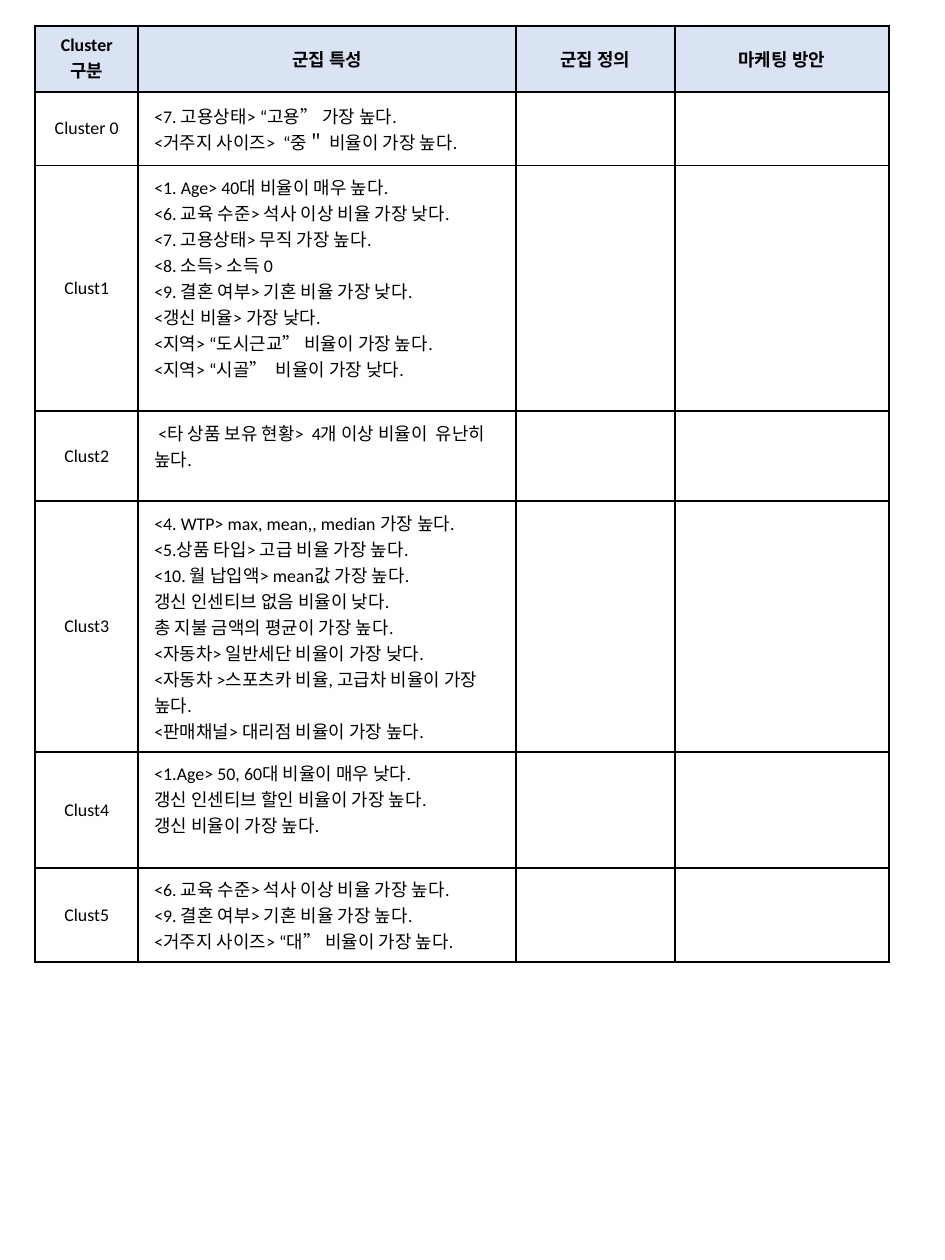
from lxml import etree
from pptx import Presentation
from pptx.dml.color import RGBColor
from pptx.enum.text import MSO_ANCHOR, PP_ALIGN
from pptx.oxml.ns import qn
from pptx.util import Inches, Pt

LEFT, CENTER = PP_ALIGN.LEFT, PP_ALIGN.CENTER
TOP, MIDDLE = MSO_ANCHOR.TOP, MSO_ANCHOR.MIDDLE
COLOR = {"text": "000000", "line": "000000", "head": "DAE3F3"}
COLS = [0.64, 2.35, 0.99, 1.33]
HEAD = ["Cluster 구분", "군집 특성", "군집 정의", "마케팅 방안"]

# Cluster name, row height, anchor of the traits, traits
ROWS = [
    ("Cluster 0", 0.46, MIDDLE, [
        "<7. 고용상태> “고용” 가장 높다.",
        "<거주지 사이즈>  “중＂ 비율이 가장 높다."]),
    ("Clust1", 1.53, TOP, [
        "<1. Age> 40대 비율이 매우 높다.",
        "<6. 교육 수준> 석사 이상 비율 가장 낮다.",
        "<7. 고용상태> 무직 가장 높다.",
        "<8. 소득> 소득 0",
        "<9. 결혼 여부> 기혼 비율 가장 낮다.",
        "<갱신 비율> 가장 낮다.",
        "<지역> “도시근교” 비율이 가장 높다.",
        "<지역> “시골”  비율이 가장 낮다."]),
    ("Clust2", 0.56, TOP, [
        " <타 상품 보유 현황>  4개 이상 비율이  유난히 높다."]),
    ("Clust3", 1.56, MIDDLE, [
        "<4. WTP> max, mean,, median 가장 높다.",
        "<5.상품 타입> 고급 비율 가장 높다.",
        "<10. 월 납입액> mean값 가장 높다.",
        "갱신 인센티브 없음 비율이 낮다.",
        "총 지불 금액의 평균이 가장 높다.",
        "<자동차> 일반세단 비율이 가장 낮다.",
        "<자동차 >스포츠카 비율, 고급차 비율이 가장 높다.",
        "<판매채널> 대리점 비율이 가장 높다."]),
    ("Clust4", 0.72, TOP, [
        "<1.Age> 50, 60대 비율이 매우 낮다.",
        "갱신 인센티브 할인 비율이 가장 높다.",
        "갱신 비율이 가장 높다."]),
    ("Clust5", 0.59, MIDDLE, [
        "<6. 교육 수준> 석사 이상 비율 가장 높다.",
        "<9. 결혼 여부> 기혼 비율 가장 높다.",
        "<거주지 사이즈> “대” 비율이 가장 높다."]),
]


def write(cell, text, align=CENTER, anchor=MIDDLE, bold=False):
    cell.text = text
    cell.vertical_anchor = anchor
    for para in cell.text_frame.paragraphs:
        para.alignment = align
        font = para.font
        font.name, font.size, font.bold = "Calibri", Pt(8), bold
        for run in para.runs:
            font = run.font
            font.name, font.size, font.bold = "Calibri", Pt(8), bold
            font.color.rgb = RGBColor.from_string(COLOR["text"])


def border(cell):
    props = cell._tc.get_or_add_tcPr()
    for side in ("lnL", "lnR", "lnT", "lnB"):
        line = etree.SubElement(props, qn("a:" + side), w=str(Pt(1)))
        fill = etree.SubElement(line, qn("a:solidFill"))
        etree.SubElement(fill, qn("a:srgbClr"), val=COLOR["line"])


# Slide
deck = Presentation()
deck.slide_width, deck.slide_height = Inches(5.88), Inches(7.84)
slide = deck.slides.add_slide(deck.slide_layouts[6])

# Table grid
highs = [0.41] + [row[1] for row in ROWS]
frame = slide.shapes.add_table(len(highs), len(COLS), Inches(0.22), Inches(0.16),
                               Inches(sum(COLS)), Inches(sum(highs)))
table = frame.table
table.first_row = table.horz_banding = False
for col, width in zip(table.columns, COLS):
    col.width = Inches(width)
for row, high in zip(table.rows, highs):
    row.height = Inches(high)

# Borders and empty cells
for cell in table.iter_cells():
    border(cell)
    cell.fill.background()
    write(cell, "")

# Header row
for i, title in enumerate(HEAD):
    cell = table.cell(0, i)
    cell.fill.solid()
    cell.fill.fore_color.rgb = RGBColor.from_string(COLOR["head"])
    write(cell, title, bold=True)

# Cluster rows
for i, (name, high, anchor, traits) in enumerate(ROWS, 1):
    write(table.cell(i, 0), name)
    write(table.cell(i, 1), "\n".join(traits), align=LEFT, anchor=anchor)

deck.save("out.pptx")
